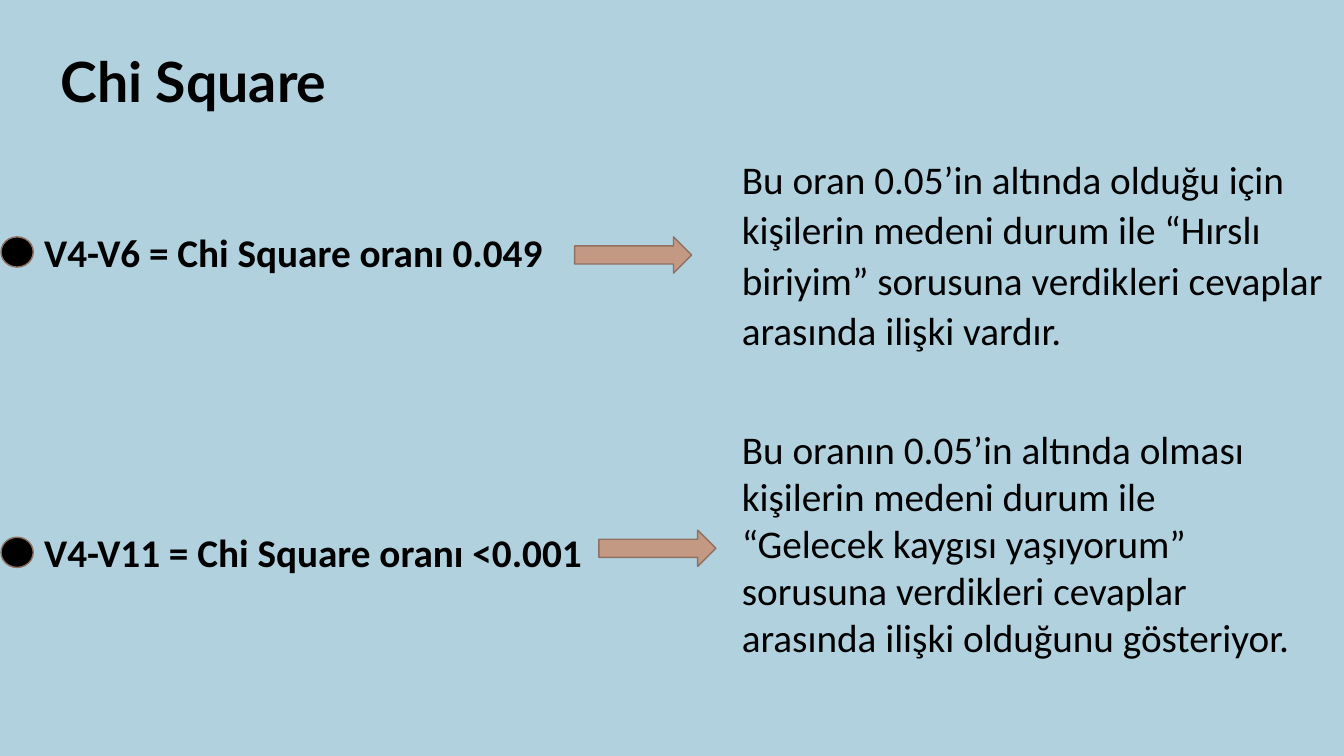
"""Build the Chi Square results slide."""
from pptx import Presentation
from pptx.dml.color import RGBColor
from pptx.enum.shapes import MSO_SHAPE
from pptx.enum.text import MSO_ANCHOR, MSO_AUTO_SIZE, PP_ALIGN
from pptx.util import Inches, Pt

OVAL, ARROW = MSO_SHAPE.OVAL, MSO_SHAPE.RIGHT_ARROW
TOP, LEFT, NO_FIT = MSO_ANCHOR.TOP, PP_ALIGN.LEFT, MSO_AUTO_SIZE.NONE
BACKGROUND = RGBColor(0xB0, 0xD1, 0xDD)
BLACK = RGBColor(0x00, 0x00, 0x00)
TAN = RGBColor(0xC3, 0x99, 0x83)
BROWN = RGBColor(0x90, 0x71, 0x61)

RESULTS = [
    {"label": "V4-V6 = Chi Square oranı 0.049",
     "label_box": (0.34, 2.22, 5.36, 0.57),
     "note": "Bu oran 0.05’in altında olduğu için kişilerin medeni durum ile "
             "“Hırslı biriyim” sorusuna verdikleri cevaplar arasında ilişki vardır.",
     "note_box": (7.26, 1.46, 6.67, 2.1), "spacing": 1.07,
     "dot": (0.01, 2.35, 0.32, 0.3), "arrow": (5.7, 2.35, 1.16, 0.36)},
    {"label": "V4-V11 = Chi Square oranı <0.001",
     "label_box": (0.34, 5.19, 6.97, 0.57),
     "note": "Bu oranın 0.05’in altında olması kişilerin medeni durum ile "
             "“Gelecek kaygısı yaşıyorum” sorusuna verdikleri cevaplar "
             "arasında ilişki olduğunu gösteriyor.",
     "note_box": (7.26, 4.17, 5.74, 2.46), "spacing": 1.0,
     "dot": (0.01, 5.33, 0.32, 0.3), "arrow": (5.94, 5.26, 1.16, 0.36)},
]


def add_text(s, box, text, bold=False, spacing=1.0):
    tf = s.shapes.add_textbox(*map(Inches, box)).text_frame
    tf.word_wrap = True
    tf.text = text
    p = tf.paragraphs[0]
    p.line_spacing = spacing
    font = p.runs[0].font
    font.name, font.size, font.bold = "Calibri", Pt(28), bold
    font.color.rgb = BLACK


def add_marker(s, kind, box, color):
    sp = s.shapes.add_shape(kind, *map(Inches, box))
    sp.shadow.inherit = False
    sp.fill.solid()
    sp.fill.fore_color.rgb = color
    sp.line.color.rgb = BROWN
    sp.line.width = Pt(1)


prs = Presentation()
prs.slide_width, prs.slide_height = Inches(13.33), Inches(7.5)
s = prs.slides.add_slide(prs.slide_layouts[5])
s.background.fill.solid()
s.background.fill.fore_color.rgb = BACKGROUND

title = s.shapes.title
title.left, title.top = Inches(0.5), Inches(0.4)
title.width, title.height = Inches(11.92), Inches(1.45)
tf = title.text_frame
tf.text = "Chi Square"
tf.auto_size = NO_FIT
tf.vertical_anchor = TOP
tf.margin_top = Inches(0.07)
p = tf.paragraphs[0]
p.alignment = LEFT
font = p.runs[0].font
font.name, font.size, font.bold = "Lato", Pt(39.6), True
font.color.rgb = BLACK

for result in RESULTS:
    add_text(s, result["label_box"], result["label"], bold=True)
    add_text(s, result["note_box"], result["note"], spacing=result["spacing"])
    add_marker(s, OVAL, result["dot"], BLACK)
    add_marker(s, ARROW, result["arrow"], TAN)

prs.save("out.pptx")
